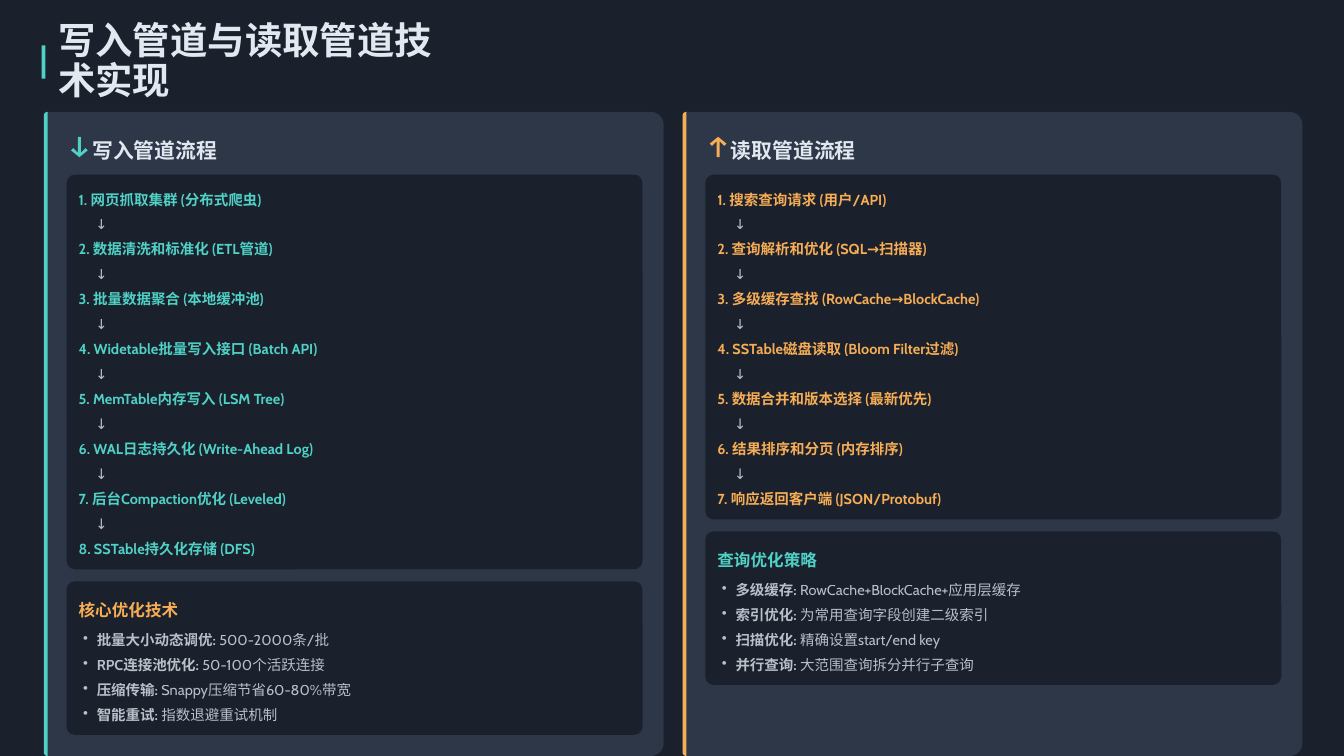
"""Build a slide comparing the write and read pipelines of a storage system."""
from math import cos, pi, sin

from lxml import etree
from pptx import Presentation
from pptx.dml.color import RGBColor
from pptx.enum.shapes import MSO_SHAPE
from pptx.enum.text import MSO_ANCHOR, MSO_AUTO_SIZE, PP_ALIGN
from pptx.oxml.ns import qn
from pptx.util import Inches, Pt

RECT, ROUNDED = MSO_SHAPE.RECTANGLE, MSO_SHAPE.ROUNDED_RECTANGLE
TOP, MIDDLE = MSO_ANCHOR.TOP, MSO_ANCHOR.MIDDLE
LEFT, NO_AUTOFIT = PP_ALIGN.LEFT, MSO_AUTO_SIZE.NONE

COLORS = {"back": "1A202C", "panel": "2D3748", "text": "E2E8F0",
          "teal": "4FD1C5", "orange": "F6AD55"}
CJK, LATIN = "Noto Sans CJK SC", "Cabin"

TITLE = "写入管道与读取管道技术实现"
PIPELINES = [
    {
        "heading": "写入管道流程", "color": "teal", "arrow": "down",
        "steps": [
            "网页抓取集群 (分布式爬虫)",
            "数据清洗和标准化 (ETL管道)",
            "批量数据聚合 (本地缓冲池)",
            "Widetable批量写入接口 (Batch API)",
            "MemTable内存写入 (LSM Tree)",
            "WAL日志持久化 (Write-Ahead Log)",
            "后台Compaction优化 (Leveled)",
            "SSTable持久化存储 (DFS)",
        ],
        "tips_heading": "核心优化技术", "tips_color": "orange",
        "tips": [
            ("批量大小动态调优:", " 500-2000条/批"),
            ("RPC连接池优化:", " 50-100个活跃连接"),
            ("压缩传输:", " Snappy压缩节省60-80%带宽"),
            ("智能重试:", " 指数退避重试机制"),
        ],
    },
    {
        "heading": "读取管道流程", "color": "orange", "arrow": "up",
        "steps": [
            "搜索查询请求 (用户/API)",
            "查询解析和优化 (SQL→扫描器)",
            "多级缓存查找 (RowCache→BlockCache)",
            "SSTable磁盘读取 (Bloom Filter过滤)",
            "数据合并和版本选择 (最新优先)",
            "结果排序和分页 (内存排序)",
            "响应返回客户端 (JSON/Protobuf)",
        ],
        "tips_heading": "查询优化策略", "tips_color": "teal",
        "tips": [
            ("多级缓存:", " RowCache+BlockCache+应用层缓存"),
            ("索引优化:", " 为常用查询字段创建二级索引"),
            ("扫描优化:", " 精确设置start/end key"),
            ("并行查询:", " 大范围查询拆分并行子查询"),
        ],
    },
]

PANEL_LEFT, PANEL_TOP, PANEL_STEP = 0.58, 1.48, 8.45
PANEL_WIDTH, PANEL_HEIGHT, BAR = 8.2, 8.52, 0.05
CARD_WIDTH, CARD_TOP, CARD_GAP, CARD_RADIUS = 7.62, 2.31, 0.16, 0.11
TIPS_HEIGHT, PITCH = 2.03, 0.33
ARROW = [(-0.02, 0), (0.02, 0), (0.02, 0.21), (0.08, 0.15), (0.11, 0.18),
         (0, 0.27), (-0.11, 0.18), (-0.08, 0.15), (-0.02, 0.21)]


def paint(shape, color):
    shape.shadow.inherit = False
    shape.fill.solid()
    shape.fill.fore_color.rgb = RGBColor.from_string(COLORS[color])
    shape.line.fill.background()


def outline(slide, points, color):
    corners = [(Inches(x), Inches(y)) for x, y in points]
    builder = slide.shapes.build_freeform(*corners[0])
    builder.add_line_segments(corners[1:], close=True)
    paint(builder.convert_to_shape(), color)


def rounded_points(left, top, width, height, left_radius, right_radius):
    right, bottom = left + width, top + height
    corners = [
        (right - right_radius, top + right_radius, right_radius, -pi / 2),
        (right - right_radius, bottom - right_radius, right_radius, 0),
        (left + left_radius, bottom - left_radius, left_radius, pi / 2),
        (left + left_radius, top + left_radius, left_radius, pi),
    ]
    return [(x + radius * cos(start + pi * i / 16), y + radius * sin(start + pi * i / 16))
            for x, y, radius, start in corners for i in range(9 if radius else 1)]


def block(slide, kind, box, color, radius=0):
    shape = slide.shapes.add_shape(kind, *map(Inches, box))
    if radius:
        shape.adjustments[0] = radius / min(box[2:])
    paint(shape, color)


def write(shape, lines, box, size=13.8, font=LATIN, color="text", bold=True,
          spacing=1.2, anchor=MIDDLE):
    """Fill a shape with lines, each a dict of runs and optional overrides."""
    shape.element.getparent().append(shape.element)
    shape.left, shape.top, shape.width, shape.height = map(Inches, box)
    frame = shape.text_frame
    frame.auto_size, frame.word_wrap, frame.vertical_anchor = NO_AUTOFIT, True, anchor
    frame.margin_left = frame.margin_right = frame.margin_top = frame.margin_bottom = 0
    for i, line in enumerate(lines):
        paragraph = frame.paragraphs[0] if i == 0 else frame.add_paragraph()
        paragraph.alignment, paragraph.line_spacing = LEFT, spacing
        paragraph.space_before = paragraph.space_after = Pt(0)
        properties = paragraph._p.get_or_add_pPr()
        properties.set("marL", str(Inches(line.get("margin", 0))))
        properties.set("indent", str(Inches(line.get("indent", 0))))
        if "bullet" in line:
            etree.SubElement(properties, qn("a:buChar"), char=line["bullet"])
        else:
            etree.SubElement(properties, qn("a:buNone"))
        for j, text in enumerate(line["runs"]):
            run = paragraph.add_run()
            run.text = text
            run.font.size, run.font.name = Pt(size), font
            run.font.bold = line.get("bold", bold) and j == 0
            run.font.color.rgb = RGBColor.from_string(COLORS[line.get("color", color)])
            run_properties = run._r.get_or_add_rPr()
            etree.SubElement(run_properties, qn("a:ea"), typeface=CJK)
            if "alpha" in line:
                tint = run_properties.find(".//" + qn("a:srgbClr"))
                etree.SubElement(tint, qn("a:alpha"), val=str(line["alpha"] * 1000))


def text_box(slide):
    return slide.shapes.add_textbox(0, 0, 0, 0)


def step_lines(steps):
    lines = []
    for number, step in enumerate(steps, 1):
        if lines:
            lines.append({"runs": ["↓"], "margin": 0.22, "color": "text",
                          "bold": False, "alpha": 80})
        lines.append({"runs": [f"{number}. {step}"]})
    return lines


def add_pipeline(slide, index, pipeline):
    left, color = PANEL_LEFT + index * PANEL_STEP, pipeline["color"]
    card_left, text_left = left + 0.3, left + 0.46
    heading, steps = (slide.placeholders[2 * index + k] for k in (1, 2))

    outline(slide, rounded_points(left, PANEL_TOP, PANEL_WIDTH, PANEL_HEIGHT, BAR, 0.17), "panel")
    outline(slide, rounded_points(left, PANEL_TOP, BAR, PANEL_HEIGHT, BAR, 0), color)
    down = pipeline["arrow"] == "down"
    outline(slide, [(left + 0.47 + x, 1.81 + (y if down else 0.27 - y)) for x, y in ARROW], color)
    write(heading, [{"runs": [pipeline["heading"]]}], (left + 0.64, 1.76, 7.42, 0.38),
          size=19.8, font=CJK)

    lines = step_lines(pipeline["steps"])
    height = len(lines) * PITCH + 0.27
    block(slide, ROUNDED, (card_left, CARD_TOP, CARD_WIDTH, height), "back", CARD_RADIUS)
    write(steps, lines, (text_left, CARD_TOP + 0.11, 7.39, len(lines) * PITCH),
          color=color, spacing=Inches(PITCH), anchor=TOP)

    tips_top = CARD_TOP + height + CARD_GAP
    block(slide, ROUNDED, (card_left, tips_top, CARD_WIDTH, TIPS_HEIGHT), "back", CARD_RADIUS)
    write(text_box(slide), [{"runs": [pipeline["tips_heading"]]}],
          (text_left, tips_top + 0.17, 7.41, 0.33), size=15.8,
          color=pipeline["tips_color"], spacing=1.3)
    tips = [{"runs": tip, "bullet": "•", "margin": 0.24, "indent": -0.18, "alpha": 80}
            for tip in pipeline["tips"]]
    write(text_box(slide), tips, (text_left, tips_top + 0.56, 7.39, len(tips) * PITCH),
          spacing=Inches(PITCH), anchor=TOP)


def main():
    deck = Presentation()
    deck.slide_width, deck.slide_height = Inches(17.78), Inches(10)
    slide = deck.slides.add_slide(deck.slide_layouts.get_by_name("Comparison"))
    slide.background.fill.solid()
    slide.background.fill.fore_color.rgb = RGBColor.from_string(COLORS["back"])
    block(slide, RECT, (0.55, 0.6, BAR, 0.44), "teal")
    write(slide.shapes.title, [{"runs": [TITLE]}], (0.77, 0.55, 5.39, 0.55),
          size=35.6, font=CJK, spacing=0.9)
    for index, pipeline in enumerate(PIPELINES):
        add_pipeline(slide, index, pipeline)
    deck.save("out.pptx")


if __name__ == "__main__":
    main()
